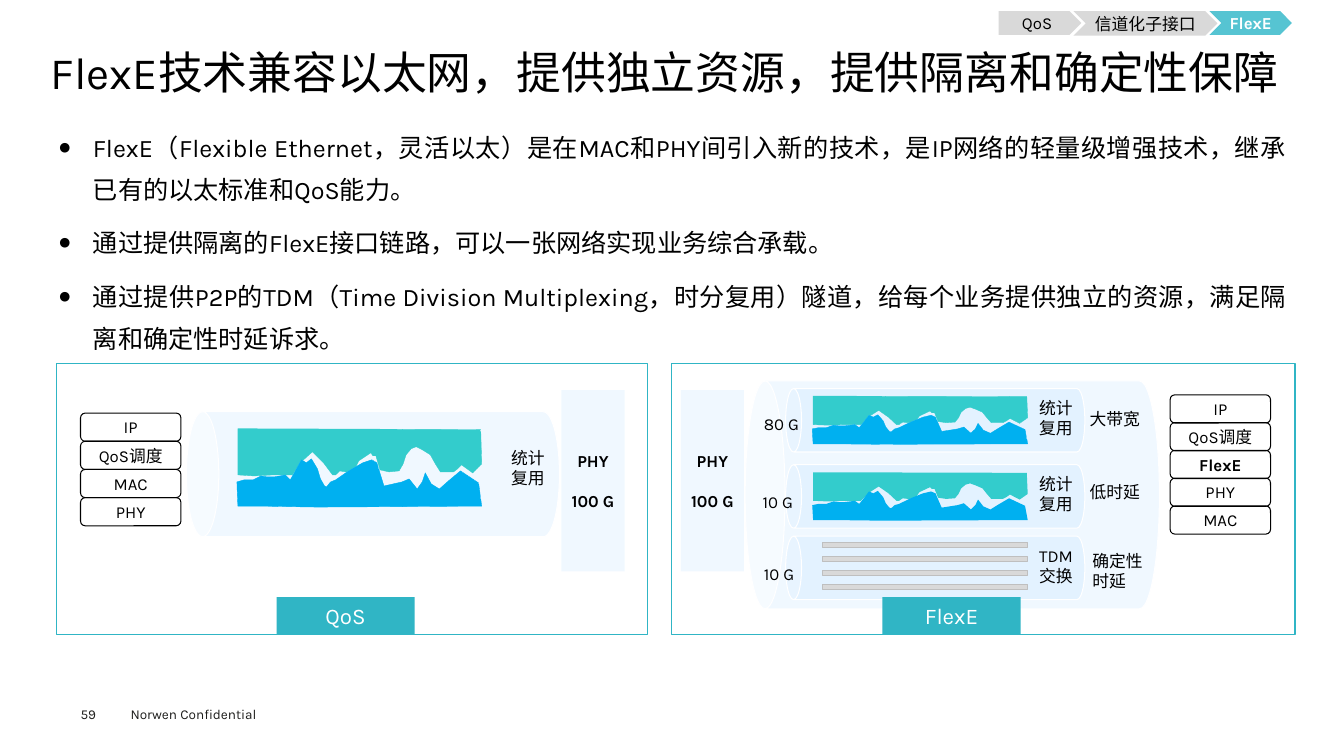
from lxml import etree
from pptx import Presentation
from pptx.dml.color import RGBColor
from pptx.enum.dml import MSO_PATTERN
from pptx.enum.shapes import MSO_SHAPE
from pptx.enum.text import MSO_ANCHOR, PP_ALIGN
from pptx.oxml.ns import qn
from pptx.util import Cm, Pt

RECT, ROUND, CAN = MSO_SHAPE.RECTANGLE, MSO_SHAPE.ROUNDED_RECTANGLE, MSO_SHAPE.CAN
PLATE, CHEVRON = MSO_SHAPE.PENTAGON, MSO_SHAPE.CHEVRON
LEFT, CENTER, JUSTIFY = PP_ALIGN.LEFT, PP_ALIGN.CENTER, PP_ALIGN.JUSTIFY
TOP, MIDDLE = MSO_ANCHOR.TOP, MSO_ANCHOR.MIDDLE
STRIPES = MSO_PATTERN.DARK_VERTICAL


class Theme:
    font = "Karla"
    title, body, tab, label, foot = 32, 18, 16, 12, 9.7
    black, white = RGBColor(0, 0, 0), RGBColor(255, 255, 255)
    ink = RGBColor(0x1D, 0x1D, 0x1B)
    teal = RGBColor(0x30, 0xB5, 0xC5)
    active = RGBColor(0x56, 0xC4, 0xD2)
    gray, edge = RGBColor(0xD9, 0xD9, 0xD9), RGBColor(0xBF, 0xBF, 0xBF)
    pipe = RGBColor(0x4B, 0xB2, 0xFF)
    green, blue = RGBColor(0x33, 0xCC, 0xCC), RGBColor(0, 0xB0, 0xF0)
    pale = RGBColor(0xCC, 0xEC, 0xFF)


prs = Presentation()
prs.slide_width, prs.slide_height = Cm(33.87), Cm(19.05)
slide = prs.slides.add_slide(prs.slide_layouts[6])
shapes = slide.shapes


def write(box, text, size=Theme.label, color=Theme.black, bold=False,
          align=LEFT, anchor=TOP, pad=(0, 0), wrap=True, pitch=None, gap=0):
    frame = box.text_frame
    frame.word_wrap, frame.vertical_anchor = wrap, anchor
    frame.margin_left = frame.margin_right = Cm(pad[0])
    frame.margin_top = frame.margin_bottom = Cm(pad[1])
    for i, line in enumerate(text.split("\n")):
        para = frame.paragraphs[0] if i == 0 else frame.add_paragraph()
        para.text, para.alignment = line, align
        if pitch:
            para.line_spacing = pitch
        if i and gap:
            para.space_before = Pt(gap)
        font = para.font
        font.name, font.size, font.bold = Theme.font, Pt(size), bold
        font.color.rgb = color
    return frame


def form(kind, box, fill=None, line=None, width=0.75, alpha=None):
    shape = shapes.add_shape(kind, *[Cm(v) for v in box])
    shape.shadow.inherit = False
    if fill is None:
        shape.fill.background()
    else:
        shape.fill.solid()
        shape.fill.fore_color.rgb = fill
        if alpha:
            tint = shape.fill._xPr.find(qn("a:solidFill"))[0]
            etree.SubElement(tint, qn("a:alpha")).set("val", str(alpha * 1000))
    if line is None:
        shape.line.fill.background()
    else:
        shape.line.color.rgb, shape.line.width = line, Pt(width)
    return shape


# Footer and title
for box, text, pad in [((3.04, 17.65, 4.06, 0.69), "Norwen Confidential", (0.25, 0.13)),
                       ((2.03, 17.78, 1.4, 0.41), "59", (0, 0))]:
    write(shapes.add_textbox(*[Cm(v) for v in box]), text, Theme.foot, Theme.ink, pad=pad)
title = shapes.add_textbox(Cm(1.28), Cm(1.22), Cm(31.37), Cm(1.35))
write(title, "FlexE技术兼容以太网，提供独立资源，提供隔离和确定性保障",
      Theme.title, anchor=MIDDLE, pitch=0.9)

# Bullets
points = [
    "FlexE（Flexible Ethernet，灵活以太）是在MAC和PHY间引入新的技术，是IP网络的轻量级增强技术，继承已有的以太标准和QoS能力。",
    "通过提供隔离的FlexE接口链路，可以一张网络实现业务综合承载。",
    "通过提供P2P的TDM（Time Division Multiplexing，时分复用）隧道，给每个业务提供独立的资源，满足隔离和确定性时延诉求。",
]
body = shapes.add_textbox(Cm(1.27), Cm(2.92), Cm(31.37), Cm(13.56))
frame = write(body, "\n".join(points), Theme.body, align=JUSTIFY,
              pad=(0.23, 0.1), pitch=1.4, gap=7.9)
for para in frame.paragraphs:
    props = para._p.get_or_add_pPr()
    props.set("marL", str(Cm(0.84)))
    props.set("indent", str(-Cm(0.84)))
    rest = props.find(qn("a:defRPr"))
    for tag, key, value in [("a:buSzPct", "val", "50000"),
                            ("a:buFont", "typeface", Theme.font),
                            ("a:buChar", "char", "●")]:
        mark = etree.Element(qn(tag))
        mark.set(key, value)
        rest.addprevious(mark)

# Pipes: left, middle, length, diameter, rim
for left, mid, span, wide, rim in [
        (18.78, 12.47, 10.44, 5.74, 0.175), (19.8, 10.59, 7.54, 1.6, 0.25),
        (19.8, 12.51, 7.54, 1.6, 0.25), (19.8, 14.31, 7.54, 1.6, 0.25),
        (4.7, 11.95, 9.4, 3.15, 0.259)]:
    pipe = form(CAN, (left + span / 2 - wide / 2, mid - span / 2, wide, span),
                Theme.pipe, Theme.white, alpha=8)
    pipe.rotation = 270
    pipe.adjustments[0] = rim

# Traffic waves on a 243 by 78 grid: pairs are lines, sixes are curves
upper = [(1, 0), (0, 4, 1, 43, 1, 46), (2, 53, 31, 41, 36, 46), (43, 45, 52, 46, 55, 46),
         (58, 41, 70, 24, 75, 23), (79, 25, 93, 43, 95, 46), (99, 50, 96, 44, 102, 42),
         (109, 46, 107, 41, 116, 42), (129, 39, 111, 25, 133, 24),
         (138, 22, 132, 33, 138, 27), (139, 32, 141, 36, 142, 41),
         (146, 41, 156, 45, 161, 42), (165, 40, 166, 30, 168, 26),
         (171, 22, 174, 18, 178, 18), (180, 20, 188, 22, 192, 26),
         (196, 30, 198, 40, 202, 43), (204, 42, 212, 45, 215, 43),
         (218, 41, 221, 38, 223, 36), (234, 44), (243, 35), (242, 1)]
lower = [(23, 77), (1, 77), (0, 53), (3, 49, 11, 52, 16, 51), (29, 43, 21, 49, 30, 48),
         (33, 46, 41, 49, 43, 47), (48, 39, 47, 50, 53, 51), (55, 62, 57, 29, 64, 31),
         (70, 36, 69, 33, 74, 30), (79, 34, 81, 45, 83, 50), (86, 54, 89, 62, 89, 58),
         (97, 52, 89, 52, 98, 51), (104, 47, 118, 37, 125, 34),
         (132, 31, 136, 30, 139, 34), (144, 37, 140, 49, 146, 57),
         (158, 57, 151, 54, 164, 53), (167, 43, 174, 54, 179, 60),
         (181, 63, 187, 44, 187, 44), (189, 56, 196, 57, 201, 60),
         (203, 61, 215, 45, 222, 42), (240, 54), (243, 77), (80, 78)]
for curve, color, back in [(upper, Theme.green, Theme.white), (lower, Theme.blue, Theme.pale)]:
    dots = [curve[0]]
    for part in curve[1:]:
        if len(part) == 6:
            # Halfway point of the curve
            ends = dots[-1] + part
            dots.append(tuple((ends[k] + 3 * ends[k + 2] + 3 * ends[k + 4] + ends[k + 6]) / 8
                              for k in (0, 1)))
        dots.append(part[-2:])
    for left, top, wide, high, striped in [(20.47, 9.98, 5.43, 1.22, True),
                                           (20.47, 11.9, 5.43, 1.22, False),
                                           (5.97, 10.8, 6.17, 1.98, True)]:
        pen = shapes.build_freeform(*dots[0], scale=(Cm(wide) / 243, Cm(high) / 78))
        pen.add_line_segments(dots[1:], close=True)
        wave = pen.convert_to_shape(Cm(left), Cm(top))
        wave.shadow.inherit = False
        if striped:
            wave.fill.patterned()
            wave.fill.pattern = STRIPES
            wave.fill.back_color.rgb = back
            wave.line.color.rgb, wave.line.width = color, Pt(0.25)
        else:
            wave.fill.solid()
            wave.line.fill.background()
        wave.fill.fore_color.rgb = color

# TDM slots
for i in range(4):
    form(RECT, (20.73, 13.67 + 0.35 * i, 5.17, 0.13), Theme.gray, Theme.edge)

# Pipe labels
for left, top, wide, text in [
        (12.88, 11.28, 0.86, "统计\n复用"), (26.19, 10.03, 0.86, "统计\n复用"),
        (26.19, 11.94, 0.86, "统计\n复用"), (26.19, 13.74, 0.94, "TDM\n交换"),
        (27.46, 10.29, 1.27, "大带宽"), (27.46, 12.14, 1.27, "低时延"),
        (27.53, 13.87, 1.27, "确定性\n时延")]:
    high = 0.51 * len(text.split("\n"))
    write(shapes.add_textbox(Cm(left), Cm(top), Cm(wide), Cm(high)), text, wrap=False)
for left, top, text in [(19, 10.03, "80 G"), (18.97, 12.01, "10 G"), (19, 13.82, "10 G")]:
    rate = shapes.add_textbox(Cm(left), Cm(top), Cm(1.63), Cm(0.94))
    write(rate, text, pad=(0.25, 0.13), pitch=1.5)

# Protocol stacks
for left, top, step, names in [(2.03, 10.41, 0.71, ["IP", "QoS调度", "MAC", "PHY"]),
                               (29.49, 9.95, 0.7, ["IP", "QoS调度", "FlexE", "PHY", "MAC"])]:
    for i, name in enumerate(names):
        layer = form(ROUND, (left, top + step * i, 2.53, 0.71), line=Theme.black)
        write(layer, name, bold=name == "FlexE", align=CENTER, anchor=MIDDLE, pad=(0.25, 0.13))

# Ports
for left in (14.15, 17.16):
    port = form(RECT, (left, 9.83, 1.59, 4.57), Theme.pipe, alpha=8)
    write(port, "PHY\n100 G", bold=True, align=CENTER, anchor=MIDDLE, gap=14)

# Panels and their tabs
for left, wide, tab, name in [(1.42, 14.9, 6.97, "QoS"), (16.92, 15.72, 22.24, "FlexE")]:
    form(RECT, (left, 9.16, wide, 6.83), line=Theme.teal, width=1)
    write(form(RECT, (tab, 15.05, 3.48, 0.94), Theme.teal), name, Theme.tab,
          Theme.white, align=CENTER, pad=(0.25, 0.13))

# Section trail
for kind, left, wide, high, name, on in [(PLATE, 25.17, 2.08, 0.6, "QoS", False),
                                         (CHEVRON, 30.48, 2.08, 0.6, "FlexE", True),
                                         (CHEVRON, 27.05, 3.63, 0.62, "信道化子接口", False)]:
    crumb = form(kind, (left, 0.28, wide, high), Theme.active if on else Theme.gray)
    write(crumb, name, color=Theme.white if on else Theme.black, bold=on,
          align=CENTER, anchor=MIDDLE)

prs.save("out.pptx")
